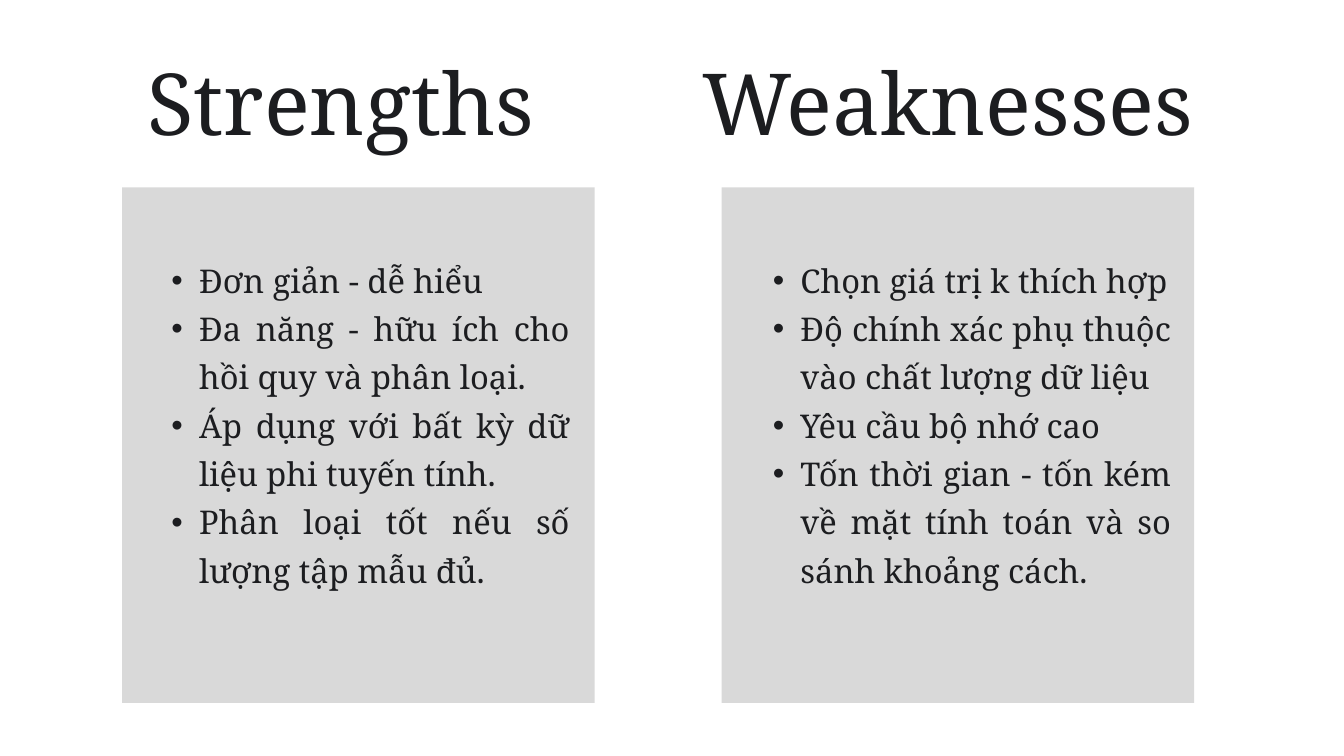
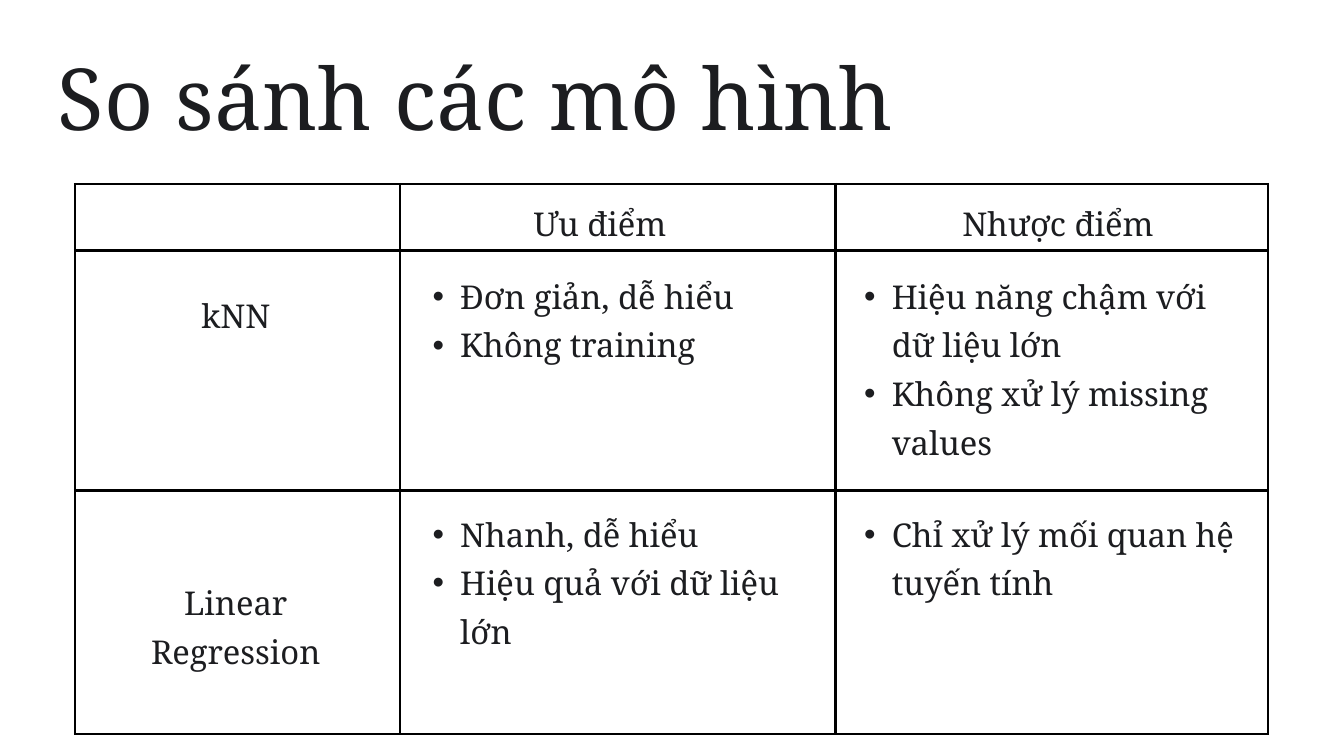
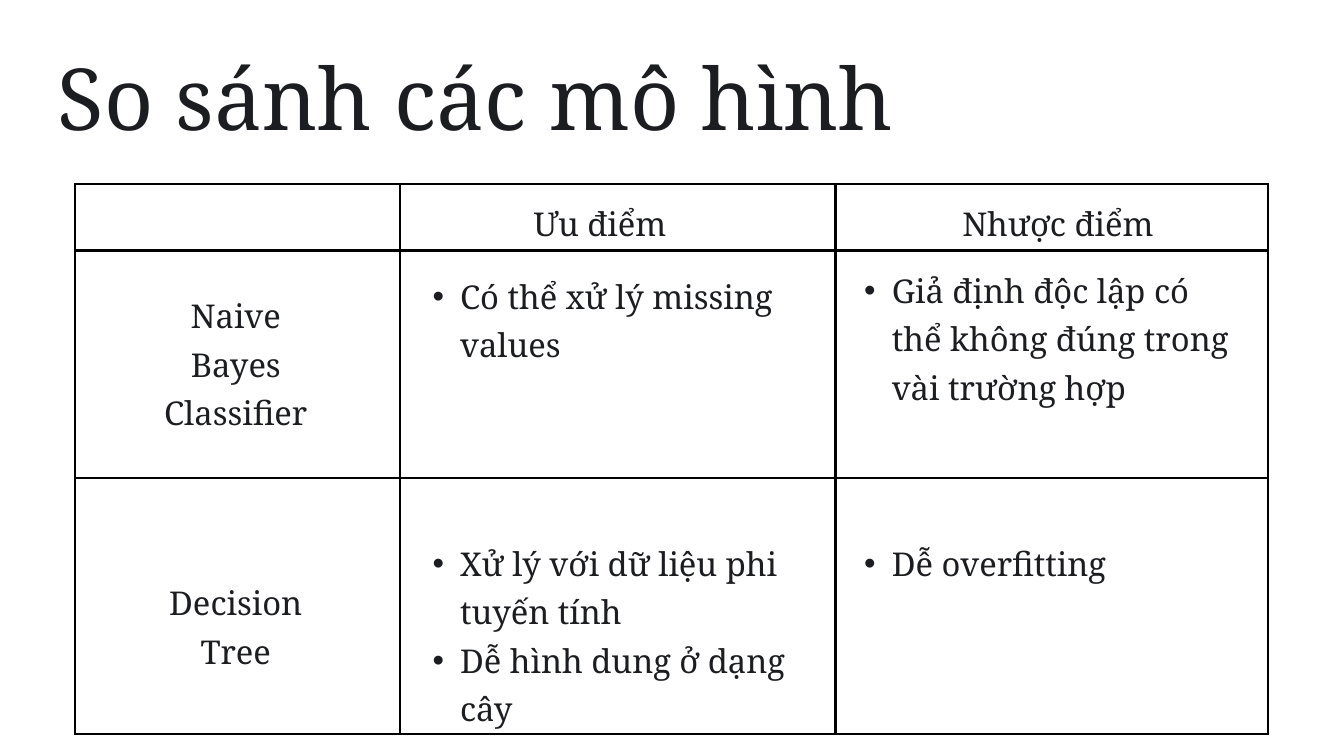
from itertools import accumulate

from lxml import etree
from pptx import Presentation
from pptx.dml.color import RGBColor
from pptx.enum import shapes, text
from pptx.oxml import ns
from pptx.util import Pt

INK, PANEL, BORDER = "1C1D20", "D9D9D9", "000000"
FONT = "Noto Serif"
TITLE_SIZE, TITLE_LEADING, TITLE_HEIGHT = 91.7, 110, 109.4
LEFT, CENTER, JUSTIFY = text.PP_ALIGN.LEFT, text.PP_ALIGN.CENTER, text.PP_ALIGN.JUSTIFY

# heading, heading left, heading width, panel left, list left, points
SIDES = [
    ("Strengths", 157.7, 452.9, 131, 153.4, [
        "Đơn giản - dễ hiểu",
        "Đa năng - hữu ích cho hồi quy và phân loại.",
        "Áp dụng với bất kỳ dữ liệu phi tuyến tính.",
        "Phân loại tốt nếu số lượng tập mẫu đủ.",
    ]),
    ("Weaknesses", 752.4, 586, 773.3, 797.8, [
        "Chọn giá trị k thích hợp",
        "Độ chính xác phụ thuộc vào chất lượng dữ liệu",
        "Yêu cầu bộ nhớ cao",
        "Tốn thời gian - tốn kém về mặt tính toán và so sánh khoảng cách.",
    ]),
]

COMPARISON_TITLE = "So sánh các mô hình"
HEADERS = [("Ưu điểm", 571.7, 162), ("Nhược điểm", 1031, 212.4)]
COLUMNS = [347.8, 466.6, 463.7]
TABLE_LEFT, TABLE_TOP, HEADER_HEIGHT = 80.6, 197.3, 71.3
NAME_CENTER = 252.6
NAME_PLACES = [(307.4, 162), (614.9, 218.9)]
PROS_LEFT, CONS_LEFT, CONS_WIDTH = 433.2, 895.7, 440

# each list: top, number of lines, points
COMPARISONS = [
    {"rows": [257, 260.6], "pros_width": 462.2, "models": [
        ("kNN", 1,
         (286.6, 2, ["Đơn giản, dễ hiểu", "Không training"]),
         (286.6, 4, ["Hiệu năng chậm với dữ liệu lớn", "Không xử lý missing values"])),
        ("Linear Regression", 2,
         (541.4, 3, ["Nhanh, dễ hiểu", "Hiệu quả với dữ liệu lớn"]),
         (541.4, 2, ["Chỉ xử lý mối quan hệ tuyến tính"])),
    ]},
    {"rows": [243.4, 274.3], "pros_width": 440, "models": [
        ("Naive Bayes Classifier", 3,
         (286.6, 2, ["Có thể xử lý missing values"]),
         (280.1, 3, ["Giả định độc lập có thể không đúng trong vài trường hợp"])),
        ("Decision Tree", 2,
         (572.4, 4, ["Xử lý với dữ liệu phi tuyến tính", "Dễ hình dung ở dạng cây"]),
         (572.4, 1, ["Dễ overfitting"])),
    ]},
]


def color(value):
    """Turn a hex string into a colour."""
    return RGBColor.from_string(value)


def child(parent, tag, **attributes):
    """Append a drawing element to its parent."""
    return etree.SubElement(parent, ns.qn(tag), attributes)


def add_bullet(paragraph):
    """Give a paragraph a hanging bullet."""
    paragraph.level = 1
    properties = paragraph._p.get_or_add_pPr()
    properties.set("marL", str(Pt(59.8)))
    properties.set("indent", str(-Pt(29.5)))
    child(properties, "a:buFont", typeface="Arial")
    child(properties, "a:buChar", char="•")


def write(box, lines, size, leading, align=LEFT, bullets=False):
    """Fill a box with evenly styled paragraphs."""
    frame = box.text_frame
    frame.text = "\n".join(lines)
    frame.word_wrap = True
    frame.auto_size = text.MSO_AUTO_SIZE.SHAPE_TO_FIT_TEXT
    frame.vertical_anchor = text.MSO_ANCHOR.TOP
    frame.margin_left = frame.margin_right = frame.margin_top = frame.margin_bottom = 0
    for paragraph in frame.paragraphs:
        paragraph.alignment = align
        paragraph.line_spacing = Pt(leading)
        paragraph.space_before = Pt(0)
        if bullets:
            add_bullet(paragraph)
        font = paragraph.font
        font.name, font.size = FONT, Pt(size)
        font.color.rgb = color(INK)


def add_text(slide, place, lines, size=35.1, leading=52, align=LEFT, bullets=False):
    """Add a text box at left, top, width, height."""
    box = slide.shapes.add_textbox(*map(Pt, place))
    write(box, lines, size, leading, align, bullets)


def add_titled_slide(deck, title, left, top, width):
    """Add a slide and set its title."""
    slide = deck.slides.add_slide(deck.slide_layouts[5])
    heading = slide.shapes.title
    heading.left, heading.top = Pt(left), Pt(top)
    heading.width, heading.height = Pt(width), Pt(TITLE_HEIGHT)
    write(heading, [title], TITLE_SIZE, TITLE_LEADING)
    return slide


def text_height(lines):
    """Return the height of a number of table text lines."""
    return 52 * lines - 3


def add_sides(deck):
    """Build the slide of strengths and weaknesses."""
    top = 53.3
    slide = add_titled_slide(deck, SIDES[0][0], SIDES[0][1], top, SIDES[0][2])
    for _, _, _, panel_left, _, _ in SIDES:
        panel = slide.shapes.add_shape(
            shapes.MSO_SHAPE.RECTANGLE, Pt(panel_left), Pt(200.9), Pt(506.2), Pt(552.2))
        panel.shadow.inherit = False
        panel.fill.solid()
        panel.fill.fore_color.rgb = color(PANEL)
        panel.line.fill.background()
    for heading, left, width, _, _, _ in SIDES[1:]:
        add_text(slide, (left, top, width, TITLE_HEIGHT), [heading], TITLE_SIZE, TITLE_LEADING)
    for *_, list_left, points in SIDES:
        add_text(slide, (list_left, 269.3, 457.2, 359.3), points, 35, 51.8, JUSTIFY, True)


def add_grid(slide, rows):
    """Add the ruled table behind a comparison."""
    grid = slide.shapes.add_table(
        len(rows), len(COLUMNS), Pt(TABLE_LEFT), Pt(TABLE_TOP),
        Pt(sum(COLUMNS)), Pt(sum(rows))).table
    grid.first_row = grid.horz_banding = False
    for column, width in zip(grid.columns, COLUMNS):
        column.width = Pt(width)
    for row, height in zip(grid.rows, rows):
        row.height = Pt(height)
    for cell in grid.iter_cells():
        properties = cell._tc.get_or_add_tcPr()
        for side in ("a:lnL", "a:lnR", "a:lnT", "a:lnB"):
            line = child(properties, side, w=str(Pt(3)))
            child(child(line, "a:solidFill"), "a:srgbClr", val=BORDER)
        cell.fill.background()


def add_comparison(deck, rows, pros_width, models):
    """Build one slide comparing two models."""
    slide = add_titled_slide(deck, COMPARISON_TITLE, 61.9, 48.2, 1252.8)
    add_grid(slide, [HEADER_HEIGHT, *rows])
    for header, left, width in HEADERS:
        add_text(slide, (left, 208.1, width, text_height(1)), [header])
    for (name, name_lines, pros, cons), (name_top, name_width) in zip(models, NAME_PLACES):
        add_text(slide, (NAME_CENTER - name_width / 2, name_top, name_width,
                         text_height(name_lines)), [name], align=CENTER)
        for left, width, (top, lines, points) in (
                (PROS_LEFT, pros_width, pros), (CONS_LEFT, CONS_WIDTH, cons)):
            add_text(slide, (left, top, width, text_height(lines)), points, bullets=True)


def main():
    """Build and save the deck."""
    deck = Presentation()
    deck.slide_width, deck.slide_height = Pt(1440), Pt(810)
    add_sides(deck)
    for comparison in COMPARISONS:
        add_comparison(deck, **comparison)
    deck.save("out.pptx")


if __name__ == "__main__":
    main()
